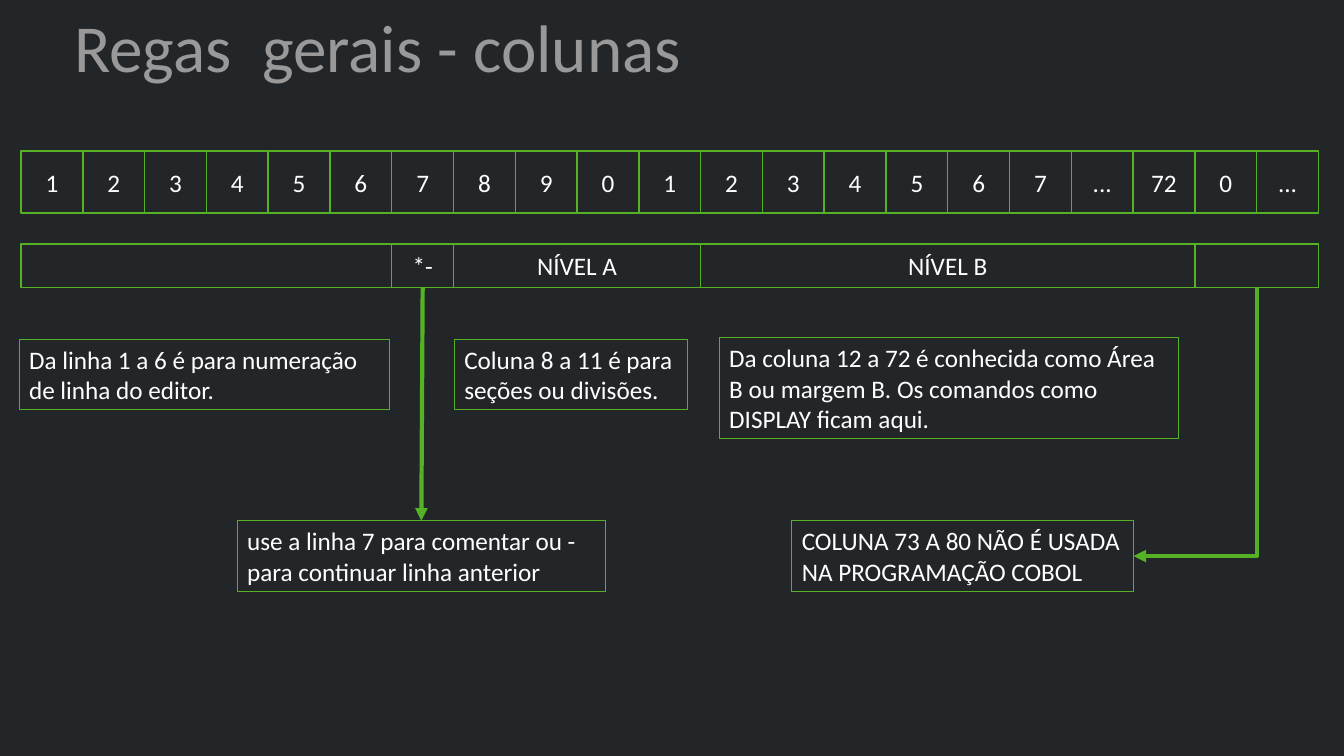
"""Build a slide on the COBOL column rules."""
import pptx
import pptx.util
import pptx.dml.color
import pptx.enum.shapes
import pptx.enum.text
import pptx.oxml
import pptx.oxml.ns

Pt = pptx.util.Pt
RGBColor = pptx.dml.color.RGBColor
ALIGN = pptx.enum.text.PP_ALIGN
ANCHOR = pptx.enum.text.MSO_ANCHOR
CONNECTOR = pptx.enum.shapes.MSO_CONNECTOR

BACKGROUND = RGBColor(0x23, 0x26, 0x29)
GREEN = RGBColor(0x55, 0xB2, 0x25)
WHITE = RGBColor(0xFF, 0xFF, 0xFF)
GRAY = RGBColor(0x99, 0x99, 0x99)

LEFT, PITCH = 15.1, 44.15
BAND_TOP, BAND_HEIGHT = 174.2, 31

prs = pptx.Presentation()
prs.slide_width, prs.slide_height = Pt(960.5), Pt(540)
s = prs.slides.add_slide(prs.slide_layouts[6])
s.background.fill.solid()
s.background.fill.fore_color.rgb = BACKGROUND


def add_text(text, x, y, w, h, size=18, color=WHITE, align=ALIGN.LEFT,
             anchor=ANCHOR.TOP, line=None):
    """Add text, framed by a rectangle when a line width is given."""
    box = (Pt(x), Pt(y), Pt(w), Pt(h))
    if line is None:
        sp = s.shapes.add_textbox(*box)
    else:
        sp = s.shapes.add_shape(pptx.enum.shapes.MSO_SHAPE.RECTANGLE, *box)
        sp.shadow.inherit = False
        sp.fill.solid()
        sp.fill.fore_color.rgb = BACKGROUND
        sp.line.color.rgb = GREEN
        sp.line.width = Pt(line)
    tf = sp.text_frame
    tf.word_wrap = True
    tf.vertical_anchor = anchor
    p = tf.paragraphs[0]
    p.alignment = align
    if text:
        r = p.add_run()
        r.text = text
        r.font.name = "Calibri"
        r.font.size = Pt(size)
        r.font.color.rgb = color
    return sp


def style_arrow(cxn):
    """Give a connector its green line and arrowhead, without shadow."""
    cxn.line.color.rgb = GREEN
    cxn.line.width = Pt(3)
    ln = cxn.line._get_or_add_ln()
    ln.append(pptx.oxml.parse_xml(
        f'<a:tailEnd {pptx.oxml.ns.nsdecls("a")} type="triangle"/>'))
    cxn._element.spPr.append(pptx.oxml.parse_xml(
        f'<a:effectLst {pptx.oxml.ns.nsdecls("a")}/>'))


add_text("Regas  gerais - colunas", 46, 0, 480, 65, size=48, color=GRAY)

columns = "1 2 3 4 5 6 7 8 9 0 1 2 3 4 5 6 7 ... 72 0 ...".split()
for i, label in enumerate(columns):
    add_text(label, LEFT + i * PITCH, 108, PITCH, PITCH,
             align=ALIGN.CENTER, anchor=ANCHOR.MIDDLE, line=1)

areas = [("", 6), ("*-", 1), ("NÍVEL A", 4), ("NÍVEL B", 8), ("", 2)]
bands = []
start = 0
for label, span in areas:
    bands.append(add_text(label, LEFT + start * PITCH, BAND_TOP, span * PITCH, BAND_HEIGHT,
                          align=ALIGN.CENTER, anchor=ANCHOR.MIDDLE, line=1))
    start += span

notes = [
    ("Da linha 1 a 6 é para numeração de linha do editor.", 13.7, 242.2, 265, 50.4),
    ("Coluna 8 a 11 é para seções ou divisões.", 324.7, 242.2, 166.3, 50.4),
    ("Da coluna 12 a 72 é conhecida como Área B ou margem B. "
     "Os comandos como DISPLAY ficam aqui.", 514.1, 241.2, 328.3, 72),
    ("use a linha 7 para comentar ou - para continuar linha anterior",
     169.6, 372, 263, 50.4),
    ("COLUNA 73 A 80 NÃO É USADA NA PROGRAMAÇÃO COBOL", 565.9, 372, 244.1, 50.4),
]
note_boxes = [add_text(*note, line=0) for note in notes]

comment_arrow = s.shapes.add_connector(CONNECTOR.STRAIGHT, 0, 0, 0, 0)
comment_arrow.begin_connect(bands[1], 2)
comment_arrow.end_connect(note_boxes[3], 0)
style_arrow(comment_arrow)

from_x, from_y = LEFT + 20 * PITCH, BAND_TOP + BAND_HEIGHT
to_x, to_y = 810, 397.2
mid_x, mid_y = (from_x + to_x) / 2, (from_y + to_y) / 2
half_w, half_h = (to_y - from_y) / 2, (from_x - to_x) / 2
unused_arrow = s.shapes.add_connector(
    CONNECTOR.ELBOW, Pt(mid_x - half_w), Pt(mid_y - half_h),
    Pt(mid_x + half_w), Pt(mid_y + half_h))
spPr = unused_arrow._element.spPr
spPr.find(pptx.oxml.ns.qn("a:xfrm")).set("rot", "5400000")
spPr.find(pptx.oxml.ns.qn("a:prstGeom")).set("prst", "bentConnector2")
style_arrow(unused_arrow)

prs.save("out.pptx")
